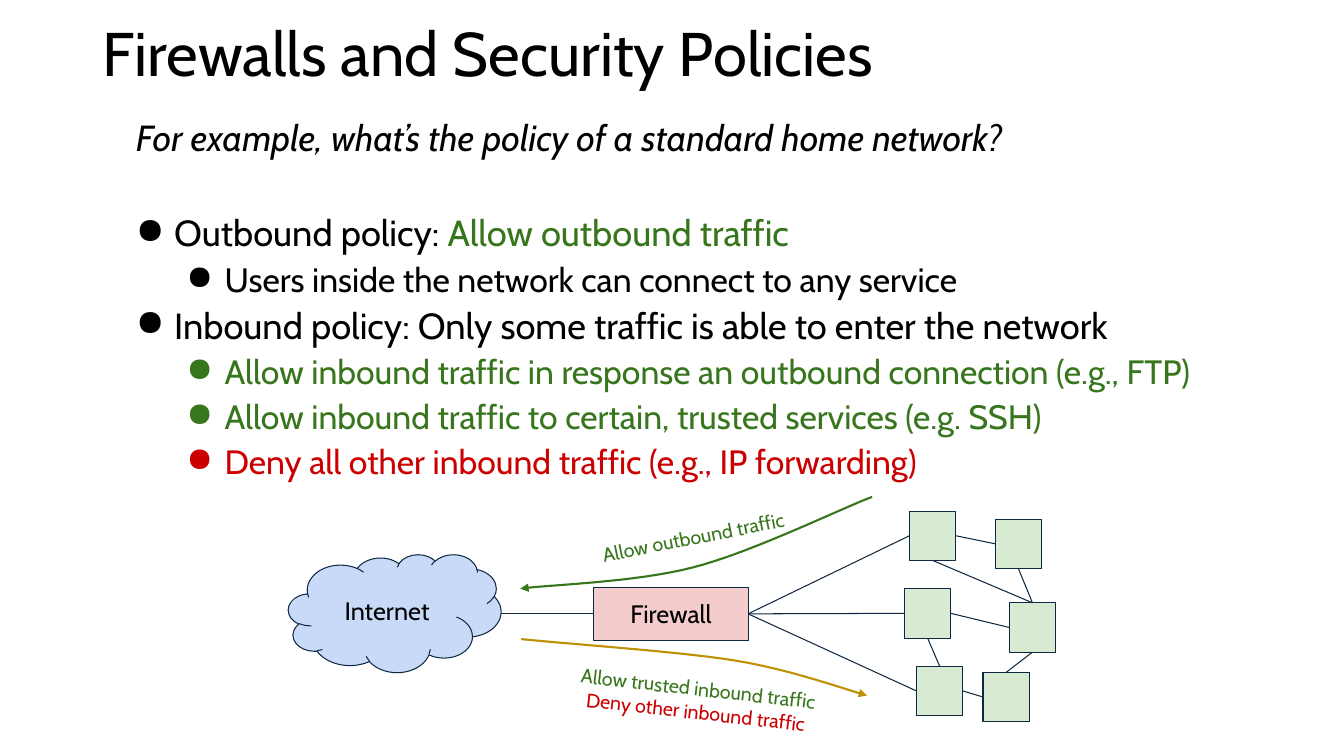
import pptx
import pptx.util
import pptx.dml.color
import pptx.enum.shapes
import pptx.enum.text
import pptx.oxml
import pptx.oxml.ns

Inches, Pt = pptx.util.Inches, pptx.util.Pt
RGBColor = pptx.dml.color.RGBColor
Shape = pptx.enum.shapes.MSO_SHAPE
Align = pptx.enum.text.PP_ALIGN
Anchor = pptx.enum.text.MSO_ANCHOR

BLACK = RGBColor(0x00, 0x00, 0x00)
NAVY = RGBColor(0x0E, 0x28, 0x41)
GREEN = RGBColor(0x38, 0x76, 0x1D)
RED = RGBColor(0xCC, 0x00, 0x00)
GOLD = RGBColor(0xBF, 0x90, 0x00)
PALE_BLUE = RGBColor(0xC9, 0xDA, 0xF8)
PALE_RED = RGBColor(0xF4, 0xCC, 0xCC)
PALE_GREEN = RGBColor(0xD9, 0xEA, 0xD3)

FONT = "Cabin"
TITLE = "Firewalls and Security Policies"
QUESTION = "For example, what’s the policy of a standard home network?"
BULLETS = [
    (0, [("Outbound policy: ", BLACK), ("Allow outbound traffic", GREEN)]),
    (1, [("Users inside the network can connect to any service", BLACK)]),
    (0, [("Inbound policy: Only some traffic is able to enter the network", BLACK)]),
    (1, [("Allow inbound traffic in response an outbound connection (e.g., FTP)", GREEN)]),
    (1, [("Allow inbound traffic to certain, trusted services (e.g. SSH)", GREEN)]),
    (1, [("Deny all other inbound traffic (e.g., IP forwarding)", RED)]),
]
LEVEL_SIZES = [25.9, 24.1]
LEVEL_MARGINS = [0.5, 1.0]
HANGING = -0.38

CLOUD = (2.86, 5.5, 2.11, 1.17)
FIREWALL = (5.89, 5.83, 1.53, 0.52)
MACHINE_SIZE = (0.46, 0.49)
MACHINES = {
    "upper": (9.02, 5.07),
    "middle": (8.97, 5.84),
    "lower": (9.09, 6.61),
    "far upper": (9.87, 5.15),
    "far middle": (10.01, 5.98),
    "far lower": (9.75, 6.67),
}
TOP, LEFT, BOTTOM, RIGHT = range(4)
LINKS = [
    ("firewall", RIGHT, "upper", LEFT),
    ("firewall", RIGHT, "middle", LEFT),
    ("firewall", RIGHT, "lower", LEFT),
    ("upper", RIGHT, "far upper", LEFT),
    ("middle", RIGHT, "far middle", LEFT),
    ("lower", RIGHT, "far lower", LEFT),
    ("lower", TOP, "middle", BOTTOM),
    ("far lower", TOP, "far middle", BOTTOM),
    ("far middle", TOP, "far upper", BOTTOM),
    ("far middle", TOP, "upper", BOTTOM),
]
FLOWS = [
    (GREEN, [(8.65, 4.93), (8.35, 5.04), (7.46, 5.48), (6.87, 5.63),
             (6.29, 5.78), (5.45, 5.8), (5.16, 5.84)]),
    (GOLD, [(5.17, 6.34), (5.52, 6.38), (6.7, 6.46), (7.27, 6.55),
            (7.84, 6.64), (8.38, 6.84), (8.6, 6.9)]),
]
FLOW_LABELS = [
    ((5.71, 5.11, 2.35, 0.53), -11.2, [("Allow outbound traffic", GREEN)]),
    ((5.32, 6.61, 3.17, 0.81), 6.4,
     [("Allow trusted inbound traffic", GREEN), ("Deny other inbound traffic", RED)]),
]
CURVE_STEPS = 16

presentation = pptx.Presentation()
presentation.slide_width, presentation.slide_height = Inches(13.33), Inches(7.5)
slide = presentation.slides.add_slide(presentation.slide_layouts[6])


def add_xml(parent, tag, **attributes):
    child = pptx.oxml.parse_xml(f"<a:{tag} {pptx.oxml.ns.nsdecls('a')}/>")
    for name, value in attributes.items():
        child.set(name, value)
    parent.append(child)


def style_font(font, size, color):
    font.name, font.size = FONT, Pt(size)
    font.color.rgb = color


def set_insets(frame, vertical=0.1):
    frame.word_wrap = True
    frame.margin_left = frame.margin_right = Inches(0.1)
    frame.margin_top = frame.margin_bottom = Inches(vertical)


def add_text_box(box, vertical=0.1):
    shape = slide.shapes.add_textbox(*map(Inches, box))
    set_insets(shape.text_frame, vertical)
    return shape


def next_paragraph(frame, index):
    return frame.add_paragraph() if index else frame.paragraphs[0]


def add_node(kind, box, fill, label=""):
    shape = slide.shapes.add_shape(kind, *map(Inches, box))
    shape.shadow.inherit = False
    shape.fill.solid()
    shape.fill.fore_color.rgb = fill
    shape.line.color.rgb, shape.line.width = NAVY, Pt(0.75)
    if label:
        frame = shape.text_frame
        set_insets(frame)
        frame.vertical_anchor = Anchor.MIDDLE
        frame.text = label
        paragraph = frame.paragraphs[0]
        paragraph.alignment = Align.CENTER
        style_font(paragraph.font, 18, BLACK)
    return shape


def add_link(begin=(0, 0)):
    x, y = map(Inches, begin)
    connector = slide.shapes.add_connector(
        pptx.enum.shapes.MSO_CONNECTOR.STRAIGHT, x, y, x, y)
    connector.line.color.rgb, connector.line.width = NAVY, Pt(0.75)
    add_xml(connector._element.spPr, "effectLst")
    return connector


def curve_points(controls):
    for start in range(0, len(controls) - 1, 3):
        a, b, c, d = controls[start:start + 4]
        for step in range(1, CURVE_STEPS + 1):
            t = step / CURVE_STEPS
            s = 1 - t
            yield tuple(
                Inches(s**3 * a[i] + 3 * s * s * t * b[i] + 3 * s * t * t * c[i] + t**3 * d[i])
                for i in range(2))


def add_flow(color, controls):
    builder = slide.shapes.build_freeform(*map(Inches, controls[0]))
    builder.add_line_segments(list(curve_points(controls)), close=False)
    shape = builder.convert_to_shape()
    shape.shadow.inherit = False
    shape.fill.background()
    shape.line.color.rgb, shape.line.width = color, Pt(1.5)
    add_xml(shape.line._get_or_add_ln(), "tailEnd", type="triangle")


title = add_text_box((0.92, 0, 11.5, 1.12), 0.05).text_frame
title.vertical_anchor = Anchor.MIDDLE
title.text = TITLE
title.paragraphs[0].line_spacing = 0.9
style_font(title.paragraphs[0].font, 44, BLACK)

body = add_text_box((1.13, 1.09, 11.07, 4)).text_frame
body.text = QUESTION
question = body.paragraphs[0]
question.line_spacing, question.space_after = 0.9, Pt(40.3)
question.font.italic = True
style_font(question.font, LEVEL_SIZES[0], BLACK)
question._p.get_or_add_pPr().set("marL", str(Inches(0.12)))

for level, pieces in BULLETS:
    paragraph = body.add_paragraph()
    paragraph.level = level
    paragraph.line_spacing, paragraph.space_after = 0.9, Pt(6)
    properties = paragraph._p.get_or_add_pPr()
    properties.set("marL", str(Inches(LEVEL_MARGINS[level])))
    properties.set("indent", str(Inches(HANGING)))
    add_xml(properties, "buChar", char="●")
    for text, color in pieces:
        run = paragraph.add_run()
        run.text = text
        style_font(run.font, LEVEL_SIZES[level], color)

add_node(Shape.CLOUD, CLOUD, PALE_BLUE, "Internet")
nodes = {"firewall": add_node(Shape.RECTANGLE, FIREWALL, PALE_RED, "Firewall")}
for name, corner in MACHINES.items():
    nodes[name] = add_node(Shape.RECTANGLE, corner + MACHINE_SIZE, PALE_GREEN)

uplink = add_link((CLOUD[0] + CLOUD[2], FIREWALL[1] + FIREWALL[3] / 2))
uplink.end_connect(nodes["firewall"], LEFT)
for begin, begin_side, end, end_side in LINKS:
    link = add_link()
    link.begin_connect(nodes[begin], begin_side)
    link.end_connect(nodes[end], end_side)

for color, controls in FLOWS:
    add_flow(color, controls)

for box, rotation, lines in FLOW_LABELS:
    label = add_text_box(box)
    label.rotation = rotation
    for index, (text, color) in enumerate(lines):
        paragraph = next_paragraph(label.text_frame, index)
        paragraph.text = text
        paragraph.alignment = Align.CENTER
        style_font(paragraph.font, 14, color)

presentation.save("out.pptx")
